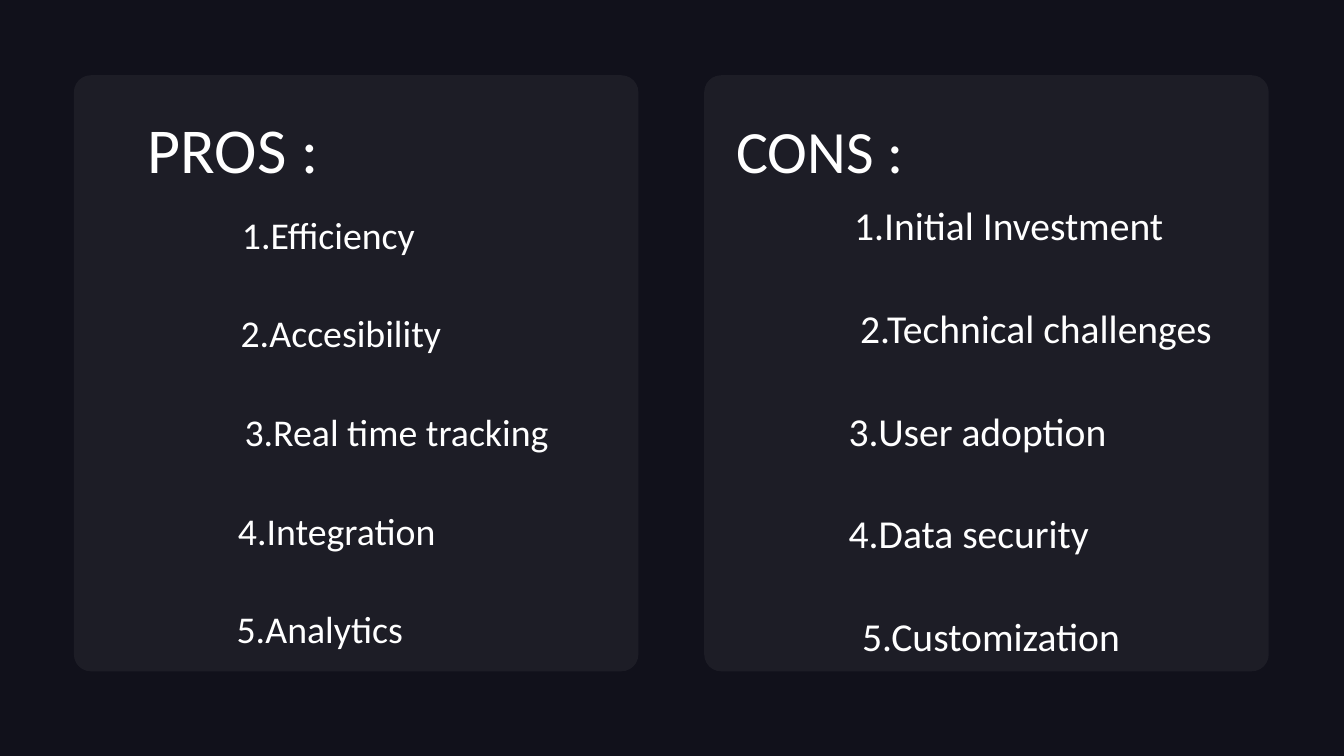
from lxml import etree
from pptx import Presentation
from pptx.dml.color import RGBColor
from pptx.enum.shapes import MSO_SHAPE
from pptx.enum.text import PP_ALIGN
from pptx.oxml.ns import qn
from pptx.util import Inches, Pt

ROUND = MSO_SHAPE.ROUNDED_RECTANGLE
LEFT = PP_ALIGN.LEFT
COLORS = {"back": "11111B", "card": "FFFFFF", "text": "FFFFFF"}
FONT = "Calibri"
CARD_W, CARD_H = 8.4, 8.87

PROS = [("1.Efficiency", 2.74), ("2.Accesibility", 2.72),
        ("3.Real time tracking", 2.78), ("4.Integration", 2.68),
        ("5.Analytics", 2.66)]
CONS = [("1.Initial Investment", 2.23), ("2.Technical challenges", 2.32),
        ("3.User adoption", 2.15), ("4.Data security", 2.15),
        ("5.Customization", 2.35)]


def color(name):
    """Return the named colour."""
    return RGBColor.from_string(COLORS[name])


def add_text(slide, box, items, size, lead):
    """Write indented lines, parted by one line of space, in a box."""
    frame = slide.shapes.add_textbox(*map(Inches, box)).text_frame
    frame.word_wrap = True
    frame.margin_left = frame.margin_right = 0
    frame.margin_top = frame.margin_bottom = 0
    for i, (text, indent) in enumerate(items):
        para = frame.paragraphs[0] if i == 0 else frame.add_paragraph()
        para.text = text
        para.alignment = LEFT
        para.line_spacing = Pt(lead)
        if i:
            para.space_before = Pt(lead)
        para._p.get_or_add_pPr().set("marL", str(Inches(indent)))
        para.font.name = FONT
        para.font.size = Pt(size)
        para.font.color.rgb = color("text")


def add_card(slide, left, top):
    """Draw a faint rounded panel."""
    card = slide.shapes.add_shape(
        ROUND, Inches(left), Inches(top), Inches(CARD_W), Inches(CARD_H))
    card.adjustments[0] = 0.03
    card.shadow.inherit = False
    card.line.fill.background()
    card.fill.solid()
    card.fill.fore_color.rgb = color("card")
    tint = card.fill._xPr.find(qn("a:solidFill"))[0]
    etree.SubElement(tint, qn("a:alpha")).set("val", "5000")


def add_panel(slide, left, top, title, head, body):
    """Place a card with its title and list."""
    add_card(slide, left, top)
    x, y, size, lead = head
    add_text(slide, (left + x, top + y, CARD_W - x, 1.25),
             [(title, 0)], size, lead)
    x, y, width, height, size, lead, items = body
    add_text(slide, (left + x, top + y, width, height), items, size, lead)


def main():
    """Build the slide of pros and cons."""
    deck = Presentation()
    deck.slide_width, deck.slide_height = Inches(20), Inches(11.25)
    slide = deck.slides.add_slide(deck.slide_layouts[6])
    slide.background.fill.solid()
    slide.background.fill.fore_color.rgb = color("back")
    add_panel(slide, 1.1, 1.12, "PROS :", (1.1, 0.42, 68.5, 89),
              (-0.24, 1.97, 7.71, 6.53, 40.5, 52.8, PROS))
    add_panel(slide, 10.48, 1.12, "CONS :", (0.48, 0.48, 64.3, 83.6),
              (0, 1.82, 8.07, 6.83, 42.4, 55, CONS))
    deck.save("out.pptx")


if __name__ == "__main__":
    main()
